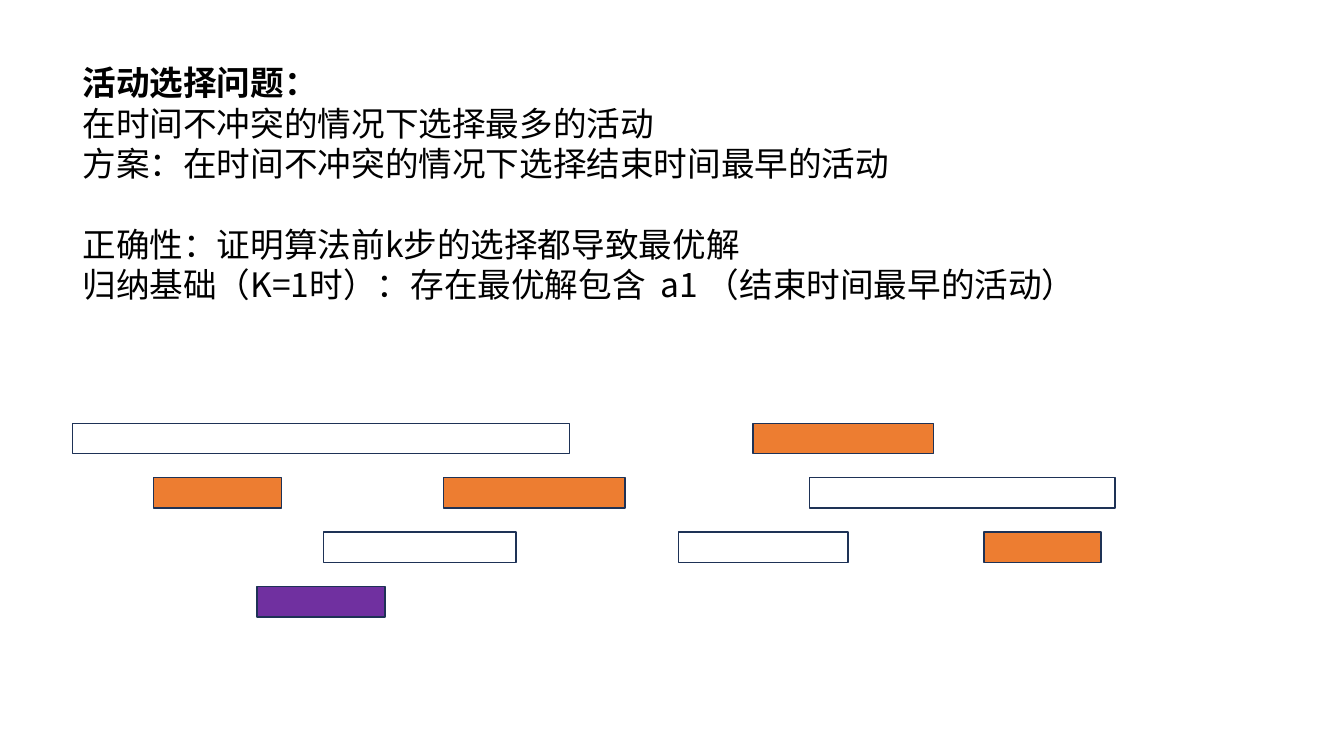
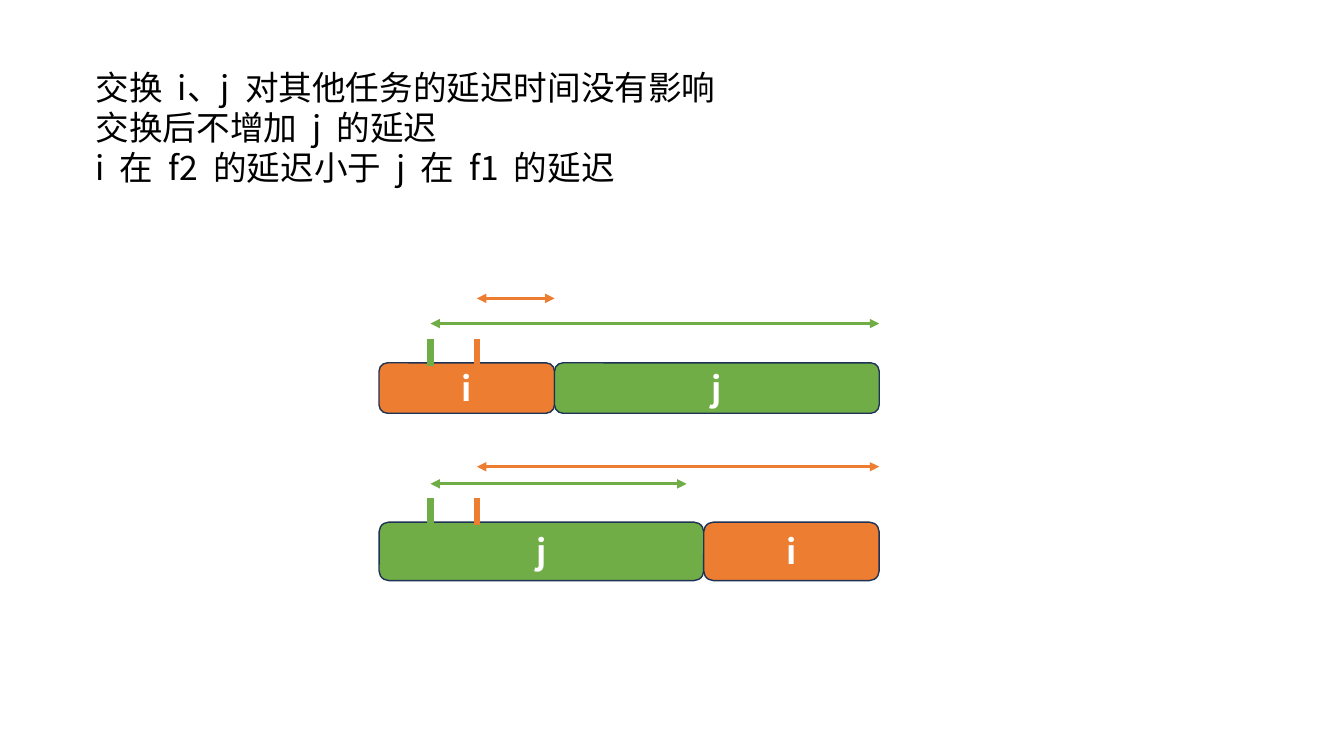
from lxml.etree import SubElement
from pptx import Presentation
from pptx.dml.color import RGBColor
from pptx.enum.shapes import MSO_CONNECTOR as Connector, MSO_SHAPE as Preset
from pptx.enum.text import MSO_ANCHOR as Anchor, MSO_AUTO_SIZE as AutoSize, PP_ALIGN as Align
from pptx.oxml.ns import qn
from pptx.util import Inches, Pt

FONT = "Noto Sans CJK SC"
TEXT_SIZE = 24
LINE_PITCH = 29
BLACK, WHITE, OUTLINE = "000000", "FFFFFF", "1E3256"
ORANGE, GREEN, PURPLE = "ED7D31", "70AD47", "7030A0"

LANE_TOP, LANE_PITCH, LANE_HEIGHT = 4.2, 0.54, 0.3
ACTIVITIES = [
    (0, 0.72, 4.93, None),
    (0, 7.47, 1.79, ORANGE),
    (1, 1.52, 1.27, ORANGE),
    (1, 4.4, 1.8, ORANGE),
    (1, 8.03, 3.03, None),
    (2, 3.21, 1.91, None),
    (2, 6.73, 1.68, None),
    (2, 9.76, 1.16, ORANGE),
    (3, 2.55, 1.27, PURPLE),
]

SCHEDULE_LEFT = 3.76
TASK_COLOR = {"i": ORANGE, "j": GREEN}
TASK_LENGTH = {"i": 1.74, "j": 3.22}
DEADLINE = {"i": 4.73, "j": 4.27}
TICK_RISE, TICK_LENGTH = 0.24, 0.27


def color(hex_code):
    return RGBColor.from_string(hex_code)


def add_text(paragraph, words, hex_code, bold=False):
    run = paragraph.add_run()
    run.text = words
    font = run.font
    font.name, font.size, font.bold = FONT, Pt(TEXT_SIZE), bold
    font.color.rgb = color(hex_code)
    SubElement(font._element, qn("a:ea"), typeface=FONT)


def add_statement(slide, left, top, width, height, lines, heading=None, gap_before=None):
    frame = slide.shapes.add_textbox(*map(Inches, (left, top, width, height))).text_frame
    frame.word_wrap = True
    frame.auto_size = AutoSize.SHAPE_TO_FIT_TEXT
    for index, words in enumerate(lines):
        paragraph = frame.paragraphs[0] if index == 0 else frame.add_paragraph()
        if index == gap_before:
            paragraph.space_before = Pt(LINE_PITCH)
        add_text(paragraph, words, BLACK, index == heading)


def add_bar(slide, preset, left, top, width, height, fill=None, label=None):
    bar = slide.shapes.add_shape(preset, *map(Inches, (left, top, width, height)))
    bar.shadow.inherit = False
    bar.line.color.rgb = color(OUTLINE)
    bar.line.width = Pt(1)
    if fill:
        bar.fill.solid()
        bar.fill.fore_color.rgb = color(fill)
    else:
        bar.fill.background()
    if label:
        bar.text_frame.vertical_anchor = Anchor.MIDDLE
        paragraph = bar.text_frame.paragraphs[0]
        paragraph.alignment = Align.CENTER
        add_text(paragraph, label, WHITE, bold=True)


def add_line(slide, start, end, hex_code, weight, arrows=False):
    line = slide.shapes.add_connector(Connector.STRAIGHT, *map(Inches, (*start, *end)))
    line.line.color.rgb = color(hex_code)
    line.line.width = Pt(weight)
    if arrows:
        for tag in ("a:headEnd", "a:tailEnd"):
            SubElement(line.line._get_or_add_ln(), qn(tag), type="triangle")
    SubElement(line._element.spPr, qn("a:effectLst"))


def add_schedule(slide, order, top, height, delays):
    left = SCHEDULE_LEFT
    for task in order:
        add_bar(slide, Preset.ROUNDED_RECTANGLE, left, top, TASK_LENGTH[task], height,
                TASK_COLOR[task], task)
        left += TASK_LENGTH[task]
    for task, (delay_y, finish) in delays.items():
        due, hue = DEADLINE[task], TASK_COLOR[task]
        tick_top = top - TICK_RISE
        add_line(slide, (due, tick_top), (due, tick_top + TICK_LENGTH), hue, 4.5)
        add_line(slide, (due, delay_y), (finish, delay_y), hue, 2.25, arrows=True)


def build_activity_selection(slide):
    add_statement(slide, 0.72, 0.57, 10.68, 2.93, [
        "活动选择问题：",
        "在时间不冲突的情况下选择最多的活动",
        "方案：在时间不冲突的情况下选择结束时间最早的活动",
        "正确性：证明算法前k步的选择都导致最优解",
        "归纳基础（K=1时）：存在最优解包含  a1 （结束时间最早的活动）",
    ], heading=0, gap_before=3)
    for lane, left, width, fill in ACTIVITIES:
        add_bar(slide, Preset.RECTANGLE, left, LANE_TOP + lane * LANE_PITCH,
                width, LANE_HEIGHT, fill)


def build_task_exchange(slide):
    schedule_end = SCHEDULE_LEFT + sum(TASK_LENGTH.values())
    first_end = SCHEDULE_LEFT + TASK_LENGTH["i"]
    add_schedule(slide, "ij", 3.6, 0.5,
                 {"i": (2.96, first_end), "j": (3.21, schedule_end)})
    add_schedule(slide, "ji", 5.18, 0.58,
                 {"i": (4.63, schedule_end), "j": (4.8, 6.81)})
    add_statement(slide, 0.85, 0.61, 6.45, 1.31, [
        "交换  i、j  对其他任务的延迟时间没有影响",
        "交换后不增加  j  的延迟",
        "i  在  f2  的延迟小于  j  在  f1  的延迟",
    ])


def main():
    deck = Presentation()
    deck.slide_width, deck.slide_height = Inches(13.33), Inches(7.5)
    blank = deck.slide_layouts[6]
    for build in (build_activity_selection, build_task_exchange):
        build(deck.slides.add_slide(blank))
    deck.save("out.pptx")


if __name__ == "__main__":
    main()
